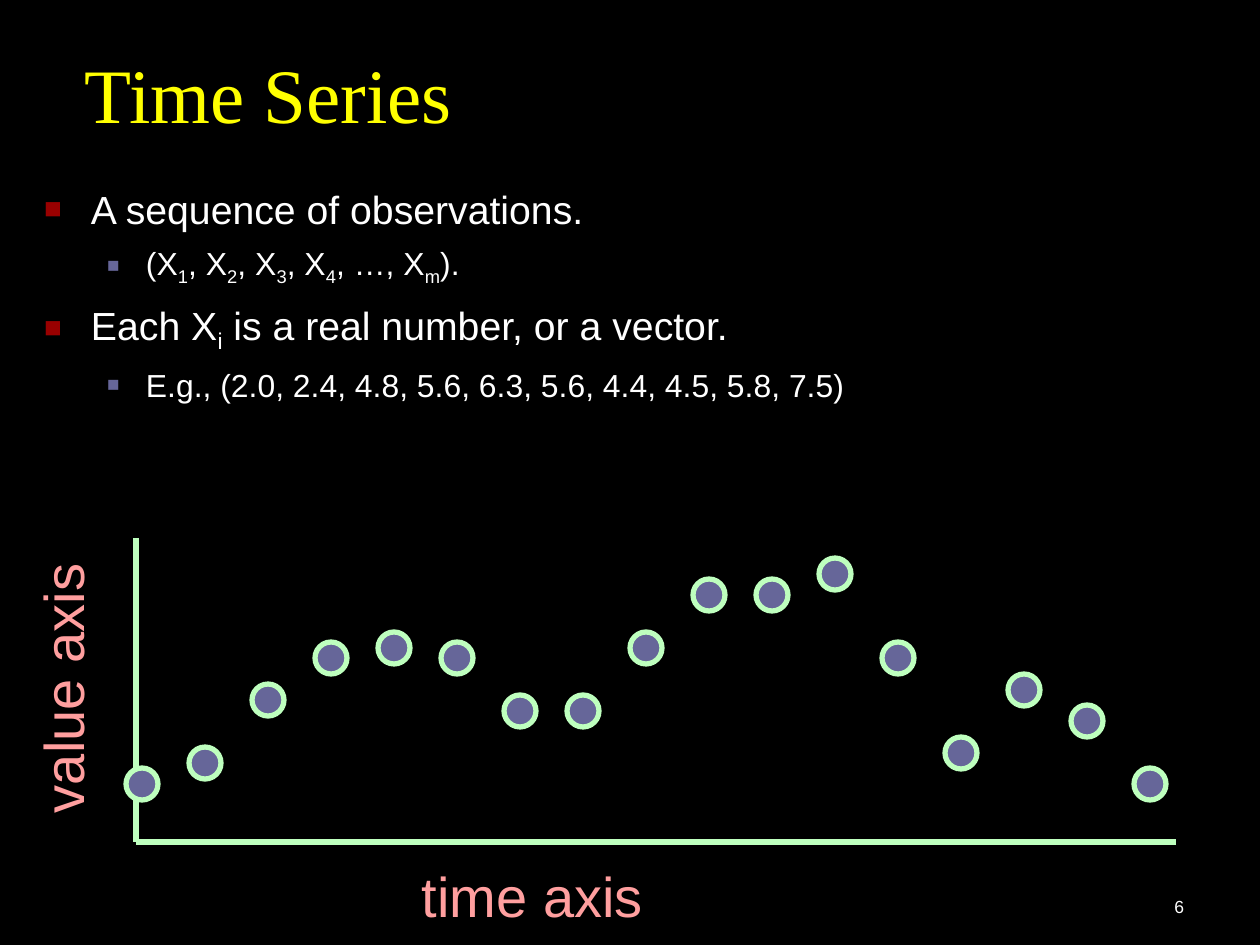
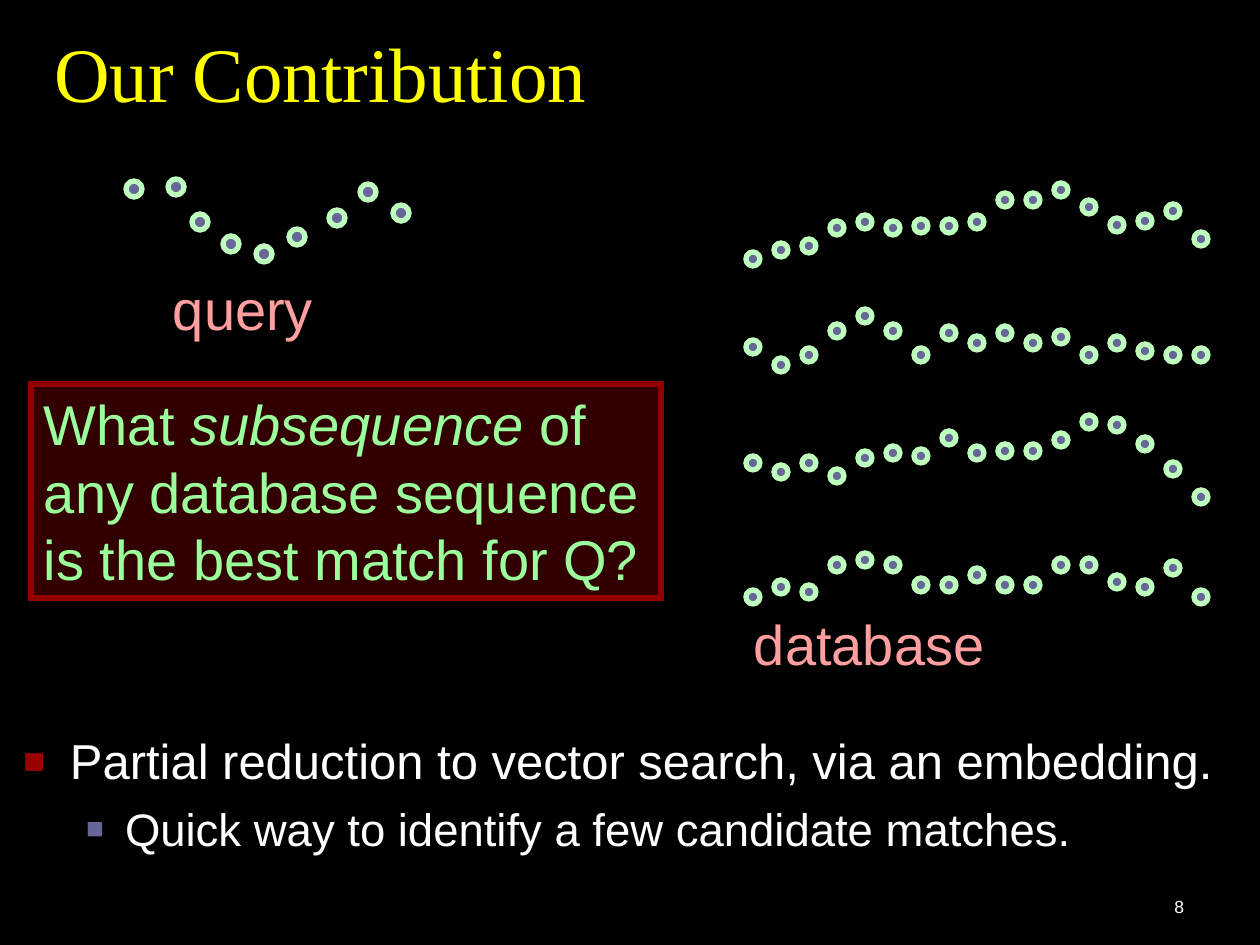
import pptx
import pptx.util
import pptx.dml.color
import pptx.enum.shapes
import pptx.enum.text
import pptx.oxml.ns
from lxml import etree

WHITE, YELLOW, GREEN, PINK = "FFFFFF", "FFFF00", "BEFFBE", "FF9F9F"
PURPLE, RED = "666699", "990000"
BOX_FILL, BOX_LINE, BOX_TEXT = "320000", "920000", "9BFF9B"
SANS, SERIF = "Arial", "Times New Roman"
PX_PER_INCH = 126
LINE_PT = 3

# Bullets by level: left margin px, hanging px, colour, size %
BULLETS = [(47, 47, RED, 75), (102, 39, PURPLE, 65)]

# Text between bars is marked: subscript in lists, italic in the question.
# Each list item: level, size pt, space before pt, text
SERIES_POINTS = [
    (0, 22.4, 0, "A sequence of observations."),
    (1, 18.2, 6.5, "(X|1|, X|2|, X|3|, X|4|, …, X|m|)."),
    (0, 22.4, 8, "Each X|i| is a real number, or a vector."),
    (1, 18.2, 6.5, "E.g., (2.0, 2.4, 4.8, 5.6, 6.3, 5.6, 4.4, 4.5, 5.8, 7.5)"),
]
CONTRIBUTION_POINTS = [
    (0, 28, 0, "Partial reduction to vector search, via an embedding."),
    (1, 26, 6.5, "Quick way to identify a few candidate matches."),
]
QUESTION = "What |subsequence |of any database sequence is the best match for Q?"

# Dot positions in px
SERIES_TOPS = [768, 747, 684, 642, 632, 642, 695, 695, 632,
               579, 579, 558, 642, 737, 674, 705, 768]
DATABASE_TOPS = [
    [252, 243, 239, 221, 215, 221, 219, 219, 215,
     193, 193, 183, 200, 218, 214, 204, 232],
    [340, 358, 348, 324, 309, 324, 348, 326, 336,
     326, 336, 330, 348, 336, 344, 348, 348],
    [456, 465, 456, 469, 451, 446, 449, 431, 446,
     444, 444, 433, 415, 418, 437, 462, 490],
    [590, 580, 585, 558, 553, 558, 578, 578, 568,
     578, 578, 558, 558, 575, 580, 561, 590],
]
QUERY_DOTS = [(126, 181), (168, 179), (192, 214), (223, 236), (256, 246),
              (289, 229), (329, 210), (360, 184), (393, 205)]


def px(*values):
    return [pptx.util.Emu(round(v * 914400 / PX_PER_INCH)) for v in values]


def rgb(color):
    return pptx.dml.color.RGBColor.from_string(color)


def add_xml(parent, tag, **attrs):
    return etree.SubElement(parent, pptx.oxml.ns.qn(tag), attrs)


def style_font(font, size, color, name=SANS):
    font.size = pptx.util.Pt(size)
    font.name = name
    font.color.rgb = rgb(color)


def set_insets(tf, across=13, down=6):
    tf.margin_left, tf.margin_top, tf.margin_right, tf.margin_bottom = px(
        across, down, across, down)


def add_marked_runs(p, text, size, color, mark):
    """Add runs split at bars, calling mark on the font of every second one."""
    for i, part in enumerate(text.split("|")):
        r = p.add_run()
        r.text = part
        style_font(r.font, size, color)
        if i % 2:
            mark(r.font)


def subscript(font):
    font._element.set("baseline", "-25000")


def italic(font):
    font.italic = True


def add_bullet(p, level):
    margin, hanging, color, size = BULLETS[level]
    p.level = level
    pPr = p._p.get_or_add_pPr()
    left, indent = px(margin, -hanging)
    pPr.set("marL", str(left))
    pPr.set("indent", str(indent))
    add_xml(add_xml(pPr, "a:buClr"), "a:srgbClr", val=color)
    add_xml(pPr, "a:buSzPct", val=str(size * 1000))
    add_xml(pPr, "a:buFont", typeface=SANS)
    add_xml(pPr, "a:buChar", char="■")


def add_list(s, box, points):
    tf = s.shapes.add_textbox(*px(*box)).text_frame
    tf.word_wrap = True
    set_insets(tf)
    for i, (level, size, before, text) in enumerate(points):
        p = tf.add_paragraph() if i else tf.paragraphs[0]
        add_bullet(p, level)
        p.space_before = pptx.util.Pt(before)
        add_marked_runs(p, text, size, WHITE, subscript)


def add_label(s, box, text):
    sp = s.shapes.add_textbox(*px(*box))
    tf = sp.text_frame
    set_insets(tf)
    tf.word_wrap = True
    tf.text = text
    style_font(tf.paragraphs[0].runs[0].font, 32, PINK)
    return sp


def add_outlined(s, kind, box, fill, line):
    sp = s.shapes.add_shape(kind, *px(*box))
    sp.shadow.inherit = False
    sp.fill.solid()
    sp.fill.fore_color.rgb = rgb(fill)
    sp.line.color.rgb = rgb(line)
    sp.line.width = pptx.util.Pt(LINE_PT)
    add_xml(sp.line._get_or_add_ln(), "a:miter", lim="800000")
    return sp


def add_dots(s, dots, size):
    for x, y in dots:
        add_outlined(s, pptx.enum.shapes.MSO_SHAPE.OVAL, (x, y, size, size), PURPLE, GREEN)


def even_dots(left, step, tops):
    return [(left + step * i, top) for i, top in enumerate(tops)]


def add_axis(s, *ends):
    line = s.shapes.add_connector(pptx.enum.shapes.MSO_CONNECTOR.STRAIGHT, *px(*ends))
    line.line.color.rgb = rgb(GREEN)
    line.line.width = pptx.util.Pt(LINE_PT)
    add_xml(line._element.spPr, "a:effectLst")


def add_slide(prs, title, box):
    s = prs.slides.add_slide(prs.slide_layouts[5])
    sp = s.shapes.title
    sp.left, sp.top, sp.width, sp.height = px(*box)
    tf = sp.text_frame
    set_insets(tf)
    tf.auto_size = pptx.enum.text.MSO_AUTO_SIZE.NONE
    tf.vertical_anchor = pptx.enum.text.MSO_ANCHOR.BOTTOM
    tf.text = title
    p = tf.paragraphs[0]
    p.alignment = pptx.enum.text.PP_ALIGN.LEFT
    p.line_spacing = 0.8
    style_font(p.runs[0].font, 44, YELLOW, SERIF)
    return s


def add_page_number(s, number):
    tf = s.shapes.add_textbox(*px(935, 860, 262, 63)).text_frame
    set_insets(tf)
    tf.word_wrap = True
    tf.vertical_anchor = pptx.enum.text.MSO_ANCHOR.BOTTOM
    tf.text = str(number)
    p = tf.paragraphs[0]
    p.alignment = pptx.enum.text.PP_ALIGN.RIGHT
    style_font(p.runs[0].font, 10, WHITE)


def build_time_series(prs):
    s = add_slide(prs, "Time Series", (72, 21, 1124, 123))
    add_list(s, (31, 179, 1176, 231), SERIES_POINTS)
    add_axis(s, 136, 538, 136, 842)
    add_axis(s, 1176, 842, 136, 842)
    add_label(s, (409, 855, 280, 81), "time axis")
    value_label = add_label(s, (23, 564, 92, 262), "value axis")
    value_label.rotation = 180
    tf = value_label.text_frame
    set_insets(tf, across=6, down=13)
    tf.word_wrap = False
    tf.auto_size = pptx.enum.text.MSO_AUTO_SIZE.SHAPE_TO_FIT_TEXT
    tf._txBody.bodyPr.set("vert", "eaVert")
    add_dots(s, even_dots(126, 63, SERIES_TOPS), 32)
    add_page_number(s, 6)


def build_contribution(prs):
    s = add_slide(prs, "Our Contribution", (41, 31, 1197, 92))
    for tops in DATABASE_TOPS:
        add_dots(s, even_dots(746, 28, tops), 14)
    add_label(s, (741, 603, 290, 81), "database")
    add_dots(s, QUERY_DOTS, 16)
    add_label(s, (160, 268, 200, 81), "query")

    box = add_outlined(s, pptx.enum.shapes.MSO_SHAPE.RECTANGLE,
                       (31, 384, 630, 214), BOX_FILL, BOX_LINE)
    tf = box.text_frame
    set_insets(tf)
    tf.word_wrap = True
    tf.vertical_anchor = pptx.enum.text.MSO_ANCHOR.TOP
    p = tf.paragraphs[0]
    p.alignment = pptx.enum.text.PP_ALIGN.LEFT
    add_marked_runs(p, QUESTION, 32, BOX_TEXT, italic)

    add_list(s, (10, 725, 1239, 189), CONTRIBUTION_POINTS)
    add_page_number(s, 8)


def main():
    prs = pptx.Presentation()
    prs.slide_width, prs.slide_height = px(1260, 945)
    background = prs.slide_master.background.fill
    background.solid()
    background.fore_color.rgb = rgb("000000")
    build_time_series(prs)
    build_contribution(prs)
    prs.save("out.pptx")


if __name__ == "__main__":
    main()
